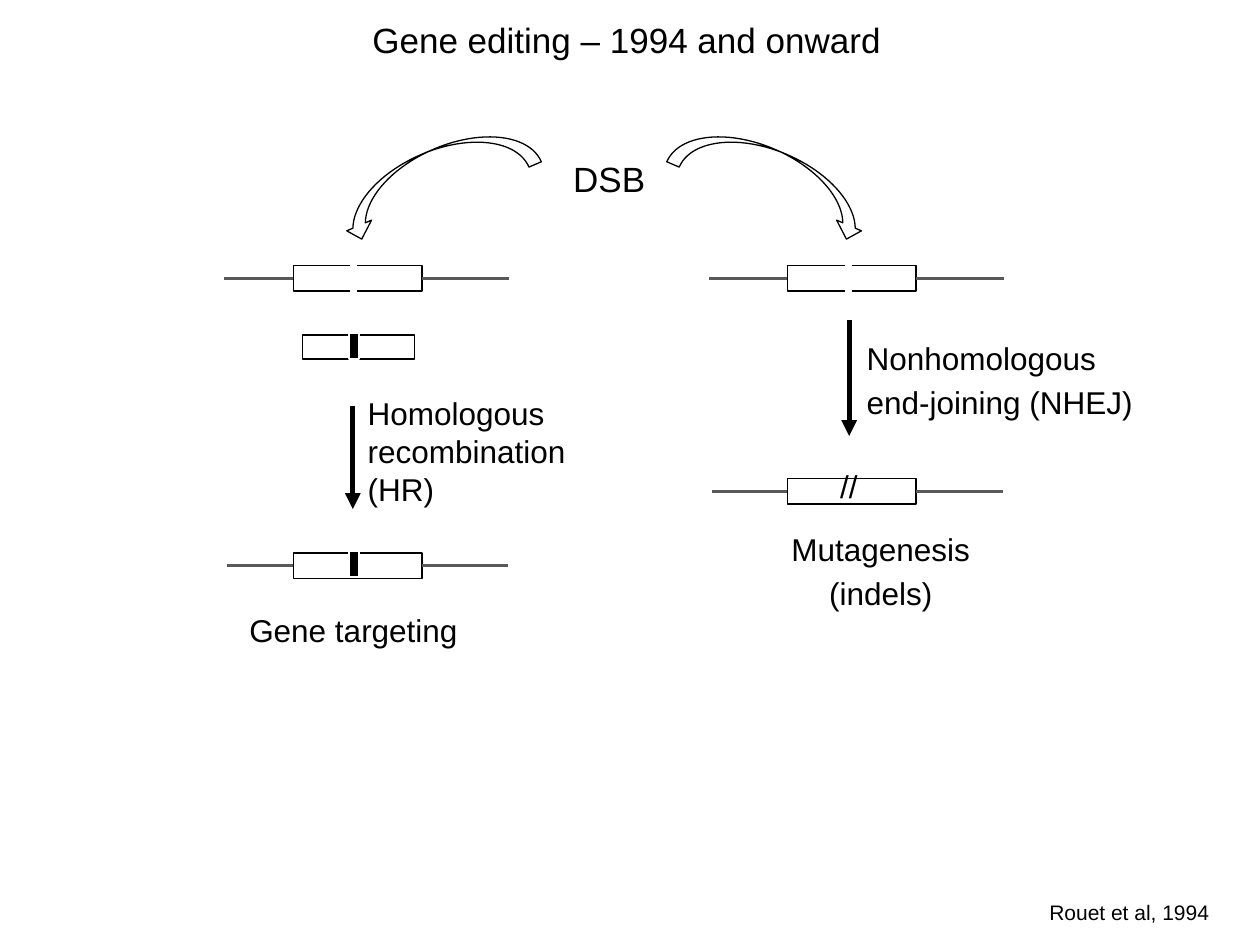
import pptx
import pptx.dml.color
import pptx.enum.shapes
import pptx.enum.text
import pptx.oxml
import pptx.oxml.ns
import pptx.util

PX = 9144  # 100 px to the inch
BLACK = pptx.dml.color.RGBColor(0x00, 0x00, 0x00)
WHITE = pptx.dml.color.RGBColor(0xFF, 0xFF, 0xFF)
GREY = pptx.dml.color.RGBColor(0x59, 0x59, 0x59)
FONT = "Arial"
KIND = pptx.enum.shapes.MSO_SHAPE
ALIGN = pptx.enum.text.PP_ALIGN
EXON = (102, 20)


def emu(*nums):
    return [pptx.util.Emu(n * PX) for n in nums]


def fill_text(frame, lines, size, align, gap):
    """Write each line as one paragraph with a single run."""
    for i, line in enumerate(lines):
        para = frame.paragraphs[0] if i == 0 else frame.add_paragraph()
        para.alignment = align
        para.space_before = pptx.util.Pt(size * gap)
        run = para.add_run()
        run.text = line
        run.font.name = FONT
        run.font.size = pptx.util.Pt(size)
        run.font.color.rgb = BLACK


def label(slide, box, lines, size=18, align=ALIGN.LEFT, gap=0.2, wrap=True):
    frame = slide.shapes.add_textbox(*emu(*box)).text_frame
    frame.word_wrap = wrap
    fill_text(frame, lines, size, align, gap)


def shape(slide, kind, box, fill, edge):
    item = slide.shapes.add_shape(kind, *emu(*box))
    item.shadow.inherit = False
    if fill is None:
        item.fill.background()
    else:
        item.fill.solid()
        item.fill.fore_color.rgb = fill
    item.line.color.rgb = edge
    item.line.width = pptx.util.Pt(0.75)
    return item


def rect(slide, box, fill=WHITE, edge=BLACK):
    return shape(slide, KIND.RECTANGLE, box, fill, edge)


def line(slide, ends, color=GREY, width=1.5):
    item = slide.shapes.add_connector(
        pptx.enum.shapes.MSO_CONNECTOR.STRAIGHT, *emu(*ends))
    item.line.color.rgb = color
    item.line.width = pptx.util.Pt(width)
    props = item._element.spPr
    props.append(props.makeelement(pptx.oxml.ns.qn("a:effectLst"), {}))
    return item


def arrow(slide, x, top, end):
    """Draw a thick arrow that points down."""
    item = line(slide, (x, top, x, end), BLACK, 3)
    edge = item.line._get_or_add_ln()
    edge.append(edge.makeelement(
        pptx.oxml.ns.qn("a:tailEnd"), {"type": "triangle"}))


def gene(slide, x, y, left, right):
    """Draw an exon at x, y with DNA that reaches from left to right."""
    wide, high = EXON
    mid = y + high // 2
    line(slide, (left, mid, left + 128, mid))
    exon = rect(slide, (x, y, wide, high))
    strand = line(slide, (x + wide, mid, right, mid))
    strand.begin_connect(exon, 3)


def cut(slide, x, y):
    rect(slide, (x, y, 5, 29), WHITE, WHITE)


def insert(slide, x, y):
    rect(slide, (x, y, 8, 20), BLACK, WHITE)


def break_site(slide, x, y):
    """Draw the break label and the two arcs that leave it."""
    label(slide, (x + 183, y, 135, 64), ["DSB"], 20)
    for left, turn in ((x, -23.3), (x + 269, 23.3)):
        arc = shape(slide, KIND.CURVED_DOWN_ARROW,
                    (left, y, 166, 43), None, BLACK)
        arc.rotation = turn
        if turn < 0:
            arc._element.spPr.xfrm.set("flipH", "1")


def repair(slide, x, y):
    """Draw the homologous recombination path."""
    gene(slide, x + 55, y + 8, x, x + 226)
    cut(slide, x + 100, y)
    rect(slide, (x + 62, y + 63, 89, 19))
    insert(slide, x + 99, y + 62)
    arrow(slide, x + 102, y + 119, y + 201)
    label(slide, (x + 104, y + 105, 230, 64),
          ["Homologous recombination (HR)"])
    gene(slide, x + 55, y + 236, x + 2, x + 225)
    insert(slide, x + 99, y + 235)
    label(slide, (x + 10, y + 277, 219, 64), ["Gene targeting"])


def joining(slide, x, y):
    """Draw the nonhomologous end-joining path."""
    gene(slide, x + 62, y + 8, x, x + 234)
    cut(slide, x + 108, y)
    arrow(slide, x + 111, y + 51, y + 143)
    label(slide, (x + 115, y + 61, 243, 84),
          ["Nonhomologous", "end-joining (NHEJ)"])
    gene(slide, x + 62, y + 177, x + 2, x + 233)
    label(slide, (x + 94, y + 163, 94, 64), ["//"])
    label(slide, (x + 37, y + 213, 198, 64),
          ["Mutagenesis", "(indels)"], align=ALIGN.CENTER)


def heading(slide, box, text):
    title = slide.shapes.title
    title.left, title.top, title.width, title.height = emu(*box)
    frame = title.text_frame
    frame.auto_size = pptx.enum.text.MSO_AUTO_SIZE.NONE
    frame.vertical_anchor = pptx.enum.text.MSO_ANCHOR.TOP
    fill_text(frame, [text], 20, ALIGN.CENTER, 0)


def main():
    deck = pptx.Presentation()
    deck.slide_width, deck.slide_height = emu(1000, 750)
    slide = deck.slides.add_slide(deck.slide_layouts[5])
    heading(slide, (166, 10, 663, 44), "Gene editing – 1994 and onward")
    break_site(slide, 262, 120)
    repair(slide, 178, 203)
    joining(slide, 563, 203)
    label(slide, (823, 709, 148, 30), ["Rouet et al, 1994"], 12,
          gap=0, wrap=False)
    deck.save("out.pptx")


if __name__ == "__main__":
    main()
